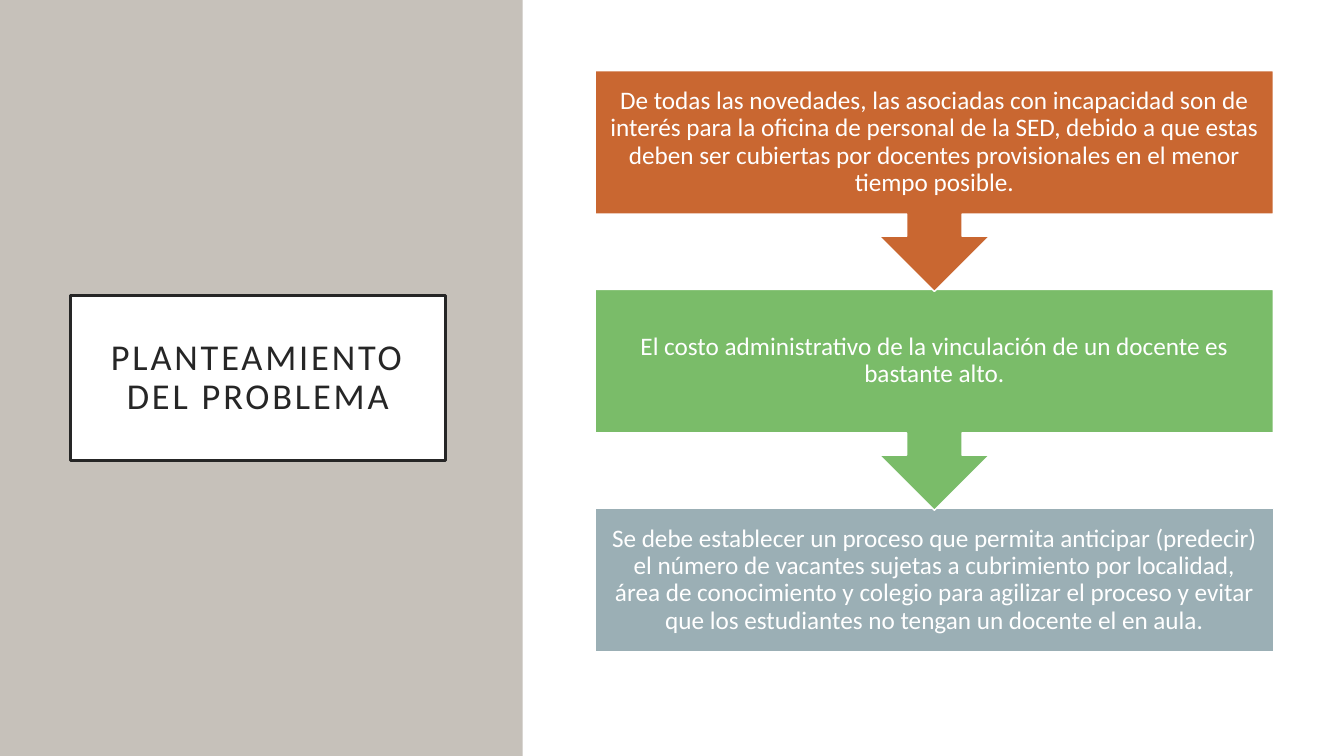
from pptx import Presentation
from pptx.dml.color import RGBColor
from pptx.enum.shapes import MSO_SHAPE as Preset
from pptx.enum.text import MSO_ANCHOR as Anchor, MSO_AUTO_SIZE as AutoSize, PP_ALIGN as Align
from pptx.util import Pt

# Content, from top to bottom
TITLE = "PLANTEAMIENTO DEL PROBLEMA"
STEPS = [
    ("De todas las novedades, las asociadas con incapacidad son de interés para la "
     "oficina de personal de la SED, debido a que estas deben ser cubiertas por "
     "docentes provisionales en el menor tiempo posible.", "orange"),
    ("El costo administrativo de la vinculación de un docente es bastante alto.", "green"),
    ("Se debe establecer un proceso que permita anticipar (predecir) el número de "
     "vacantes sujetas a cubrimiento por localidad, área de conocimiento y colegio "
     "para agilizar el proceso y evitar que los estudiantes no tengan un docente "
     "el en aula.", "gray"),
]

# Theme
THEME = {
    "font": "Calibri", "title_size": 26, "step_size": 18,
    "white": "FFFFFF", "dark": "262626", "panel": "C6C1BA",
    "orange": "C96731", "green": "7ABC69", "gray": "9BAFB5",
}

# Layout in points
SLIDE_WIDTH, SLIDE_HEIGHT = 960, 540
PANEL_WIDTH = 373.3
TITLE_BOX = (50.4, 211, 267.8, 118)
STEP_LEFT, STEP_TOP, STEP_WIDTH = 425.2, 50.4, 484.4
STEP_PITCH, CALLOUT_HEIGHT, BOX_HEIGHT = 156.3, 157.8, 102.7


def color(name):
    return RGBColor.from_string(THEME[name])


def paint(shape, fill, line=None, width=1):
    shape.fill.solid()
    shape.fill.fore_color.rgb = color(fill)
    if line:
        shape.line.color.rgb = color(line)
        shape.line.width = Pt(width)
    else:
        shape.line.fill.background()


def write(shape, text, size, text_color, inset):
    frame = shape.text_frame
    frame.text = text
    margins = {f"margin_{side}": Pt(inset) for side in ("left", "top", "right", "bottom")}
    paragraph = frame.paragraphs[0]
    font = paragraph.runs[0].font
    formats = [
        (frame, {"word_wrap": True, "auto_size": AutoSize.NONE,
                 "vertical_anchor": Anchor.MIDDLE, **margins}),
        (paragraph, {"alignment": Align.CENTER, "line_spacing": 0.9}),
        (font, {"name": THEME["font"], "size": Pt(THEME[size])}),
    ]
    for target, values in formats:
        for name, value in values.items():
            setattr(target, name, value)
    font.color.rgb = color(text_color)
    return paragraph.runs[0]


def add_block(slide, preset, box, fill, line=None):
    shape = slide.shapes.add_shape(preset, *map(Pt, box))
    shape.shadow.inherit = False
    paint(shape, fill, line)
    return shape


presentation = Presentation()
presentation.slide_width, presentation.slide_height = Pt(SLIDE_WIDTH), Pt(SLIDE_HEIGHT)
slide = presentation.slides.add_slide(presentation.slide_layouts[5])

# Left panel, with the framed title in front of it
panel = add_block(slide, Preset.RECTANGLE, (0, 0, PANEL_WIDTH, SLIDE_HEIGHT), "panel")
title = slide.shapes.title
panel._element.addnext(title._element)
for name, value in zip(("left", "top", "width", "height"), TITLE_BOX):
    setattr(title, name, Pt(value))
paint(title, "white", "dark", 2.5)
title_run = write(title, TITLE, "title_size", "dark", 14.4)
title_run.font._element.set("spc", "200")

# Steps, from the last to the first so that each arrow overlaps the next box
last = len(STEPS) - 1
for index, (text, fill) in reversed(list(enumerate(STEPS))):
    preset, height = ((Preset.RECTANGLE, BOX_HEIGHT) if index == last
                      else (Preset.DOWN_ARROW_CALLOUT, CALLOUT_HEIGHT))
    box = (STEP_LEFT, STEP_TOP + index * STEP_PITCH, STEP_WIDTH, height)
    step = add_block(slide, preset, box, fill, "white")
    write(step, text, "step_size", "white", 10)

presentation.save("out.pptx")
